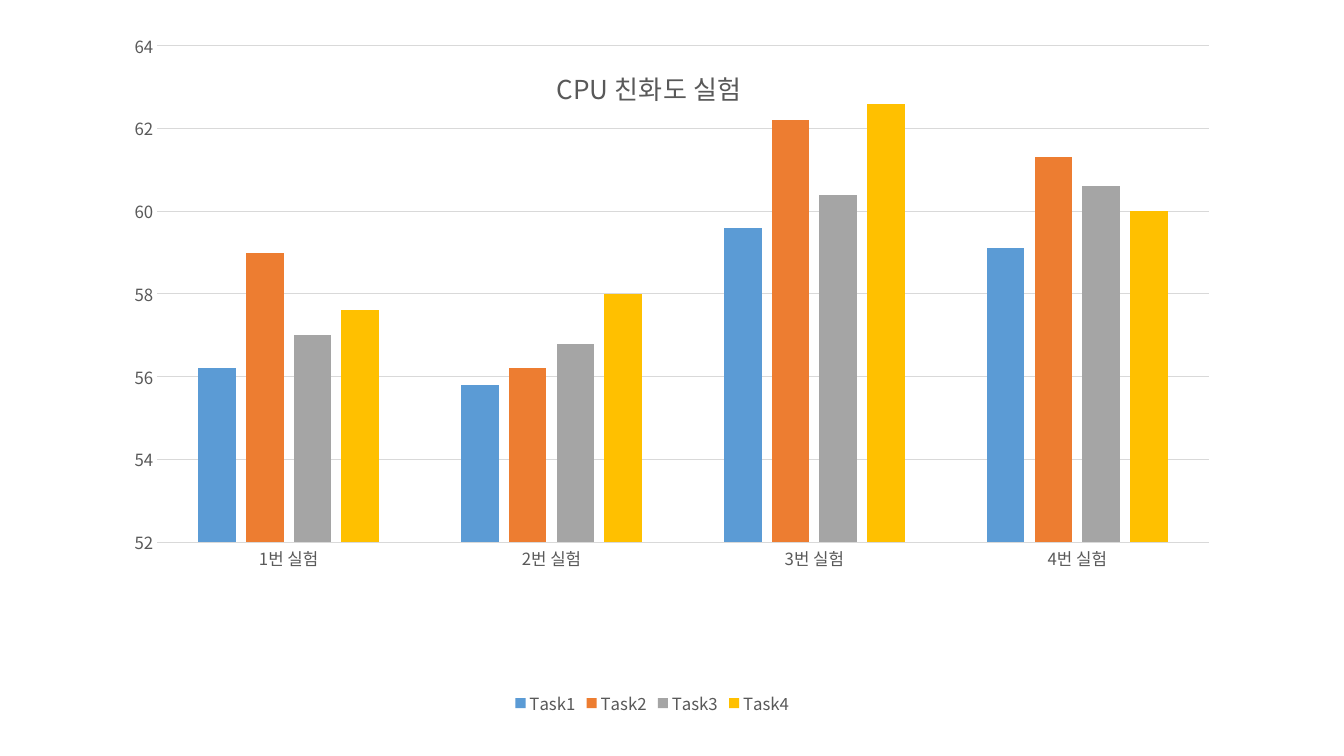
from dataclasses import dataclass

from lxml import etree
from pptx import Presentation
from pptx import util as u
from pptx.chart.data import CategoryChartData
from pptx.dml.color import RGBColor
from pptx.enum import chart as c
from pptx.oxml.ns import qn


@dataclass(frozen=True)
class Theme:
    """Colours, font and type sizes of the slide."""
    font: str = "Noto Sans CJK KR"
    ink: str = "595959"
    rule: str = "D9D9D9"
    series: tuple = ("5B9BD5", "ED7D31", "A5A5A5", "FFC000")
    title_size: float = 18.6
    label_size: float = 12
    rule_width: float = 0.75


THEME = Theme()
EXPERIMENTS = [f"{number}번 실험" for number in range(1, 5)]
TASKS = {
    "Task1": (56.2, 55.8, 59.6, 59.1),
    "Task2": (59, 56.2, 62.2, 61.3),
    "Task3": (57, 56.8, 60.4, 60.6),
    "Task4": (57.6, 58, 62.6, 60),
}


def set_all(target, values):
    """Set each attribute named in a dict of format values."""
    for name, value in values.items():
        setattr(target, name, value)


def style_font(font, size):
    """Give a chart font the theme's face, colour and the given size."""
    set_all(font, {"name": THEME.font, "size": u.Pt(size), "bold": False})
    font.color.rgb = RGBColor.from_string(THEME.ink)


def style_rule(line):
    """Draw a line as a thin grey rule."""
    line.color.rgb = RGBColor.from_string(THEME.rule)
    line.width = u.Pt(THEME.rule_width)


def place(part, index, box, inner=False):
    """Place a chart part, whose layout is child index, by chart fractions."""
    layout = part.find(qn("c:layout"))
    if layout is None:
        layout = etree.Element(qn("c:layout"))
        part.insert(index, layout)
    manual = etree.SubElement(layout, qn("c:manualLayout"))
    values = {"layoutTarget": "inner"} if inner else {}
    values.update(xMode="edge", yMode="edge")
    values.update(zip("xywh", box))
    for name, value in values.items():
        etree.SubElement(manual, qn(f"c:{name}")).set("val", str(value))


def style_title(chart):
    """Write the chart title over the top of the plot."""
    frame = chart.chart_title.text_frame
    frame.text = "CPU 친화도 실험"
    style_font(frame.paragraphs[0].runs[0].font, THEME.title_size)
    title = chart.chart_title._element
    place(title, 1, (0.41, 0.04))
    title.find(qn("c:overlay")).set("val", "1")


def style_axes(chart):
    """Set the scale, labels and rules of both axes."""
    set_all(chart.value_axis, {"minimum_scale": 52, "maximum_scale": 64,
                               "major_unit": 2, "has_major_gridlines": True})
    for axis in (chart.category_axis, chart.value_axis):
        set_all(axis, {"major_tick_mark": c.XL_TICK_MARK.NONE,
                       "minor_tick_mark": c.XL_TICK_MARK.NONE})
        style_font(axis.tick_labels.font, THEME.label_size)
    style_rule(chart.category_axis.format.line)
    style_rule(chart.value_axis.major_gridlines.format.line)
    chart.value_axis.format.line.fill.background()


def style_columns(chart):
    """Space and colour the columns and fix the plot area."""
    plot = chart.plots[0]
    set_all(plot, {"gap_width": 219, "overlap": -27, "vary_by_categories": False})
    for series, color in zip(plot.series, THEME.series):
        series.format.fill.solid()
        series.format.fill.fore_color.rgb = RGBColor.from_string(color)
    area = chart._chartSpace.find(qn("c:chart")).find(qn("c:plotArea"))
    place(area, 0, (0.056, 0.017, 0.943, 0.724), inner=True)


def add_affinity_chart(slide, left, top, width, height):
    """Add the clustered column chart of CPU affinity in the given box."""
    data = CategoryChartData()
    data.categories = EXPERIMENTS
    for name, values in TASKS.items():
        data.add_series(name, values)
    chart = slide.shapes.add_chart(
        c.XL_CHART_TYPE.COLUMN_CLUSTERED, left, top, width, height, data).chart
    set_all(chart, {"has_title": True, "has_legend": True})
    style_font(chart.font, THEME.label_size)
    style_title(chart)
    style_axes(chart)
    style_columns(chart)
    set_all(chart.legend, {"position": c.XL_LEGEND_POSITION.BOTTOM,
                           "include_in_layout": False})
    style_font(chart.legend.font, THEME.label_size)
    for latin in list(chart._chartSpace.iter(qn("a:latin"))):
        east_asian = etree.Element(qn("a:ea"), typeface=THEME.font)
        latin.addnext(east_asian)


def main():
    """Build the slide and save it."""
    presentation = Presentation()
    set_all(presentation, {"slide_width": u.Inches(13.33),
                           "slide_height": u.Inches(7.5)})
    slide = presentation.slides.add_slide(presentation.slide_layouts[6])
    add_affinity_chart(slide, *map(u.Inches, (0.94, 0.33, 11.06, 6.81)))
    presentation.save("out.pptx")


main()
